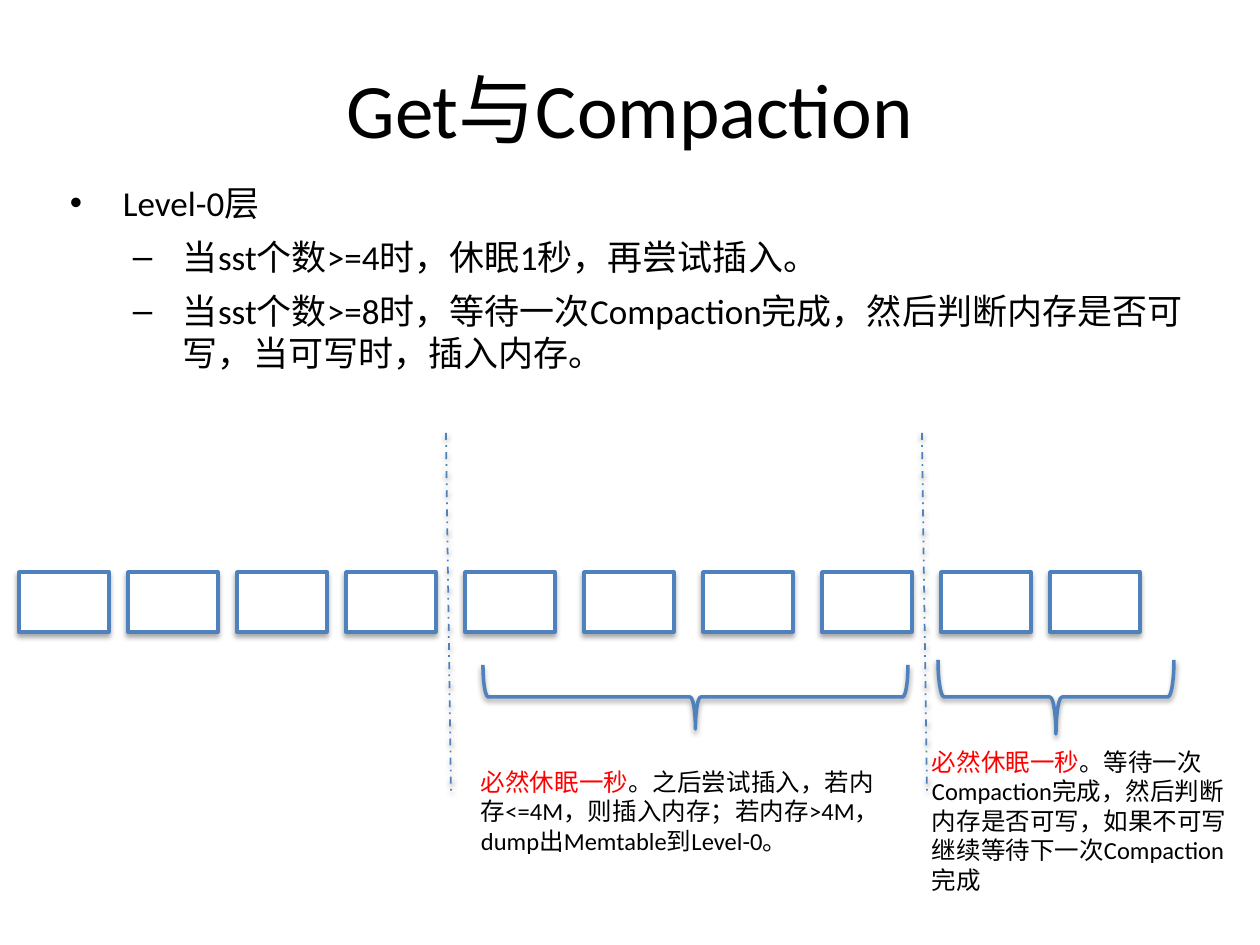
"""Build the slide on Get and Compaction."""
from dataclasses import dataclass

from lxml import etree
from pptx import Presentation
from pptx import util as u
from pptx.dml.color import RGBColor
from pptx.enum import dml, shapes, text
from pptx.oxml import ns

PIXEL = u.Inches(1) // 126


@dataclass(frozen=True)
class Theme:
    """Colours, fonts and type sizes of the slide."""
    ink: str = "000000"
    alert: str = "FF0000"
    accent: str = "4F81BD"
    paper: str = "FFFFFF"
    latin: str = "Calibri"
    chinese: str = "Noto Sans CJK SC"
    title: int = 44
    body: int = 20
    note: int = 14


THEME = Theme()
BULLETS = [
    (0, ["Level-0", "层"]),
    (1, ["当", "sst", "个数", ">=4", "时，休眠", "1", "秒，再尝试插入。"]),
    (1, ["当", "sst", "个数", ">=8", "时，等待一次", "Compaction",
         "完成，然后判断内存是否可写，当可写时，插入内存。"]),
]
LEVELS = [("•", 53, 53), ("–", 113, 50)]
WARNING = "必然休眠一秒"
RETRY_NOTE = ["。之后尝试插入，若内存<=4M，则插入内存；若内存>4M，dump",
              "出", "Memtable", "到", "Level-0", "。"]
WAIT_NOTE = ["。等待一次Compaction",
             "完成，然后判断内存是否可写，如果不可写继续等待下一次",
             "Compaction", "完成"]


def px(*lengths):
    """Turn pixel lengths into EMU."""
    return [round(length * PIXEL) for length in lengths]


def add_node(parent, tag, **attributes):
    """Append a DrawingML element with the given attributes."""
    node = etree.SubElement(parent, ns.qn(tag))
    for name, value in attributes.items():
        node.set(name, str(value))
    return node


def add_shadow(shape, distance, opacity):
    """Give a shape or connector a soft shadow below it."""
    effects = add_node(shape._element.spPr, "a:effectLst")
    shadow = add_node(effects, "a:outerShdw", blurRad=u.Pt(3),
                      dist=u.Pt(distance), dir=5400000, rotWithShape=0)
    add_node(add_node(shadow, "a:srgbClr", val=THEME.ink),
             "a:alpha", val=opacity * 1000)


def style_line(shape, width):
    """Set the accent outline."""
    shape.line.color.rgb = RGBColor.from_string(THEME.accent)
    shape.line.width = u.Pt(width)


def add_run(paragraph, words, size, colour=THEME.ink):
    """Add one run in the font that suits its script."""
    run = paragraph.add_run()
    run.text = words
    run.font.size = u.Pt(size)
    run.font.color.rgb = RGBColor.from_string(colour)
    mixed = any(character.isascii() for character in words)
    plain = mixed or colour == THEME.alert
    run.font.name = THEME.latin if plain else THEME.chinese
    add_node(run._r.get_or_add_rPr(), "a:ea", typeface=THEME.latin)


def add_text_frame(slide, box):
    """Add a wrapping text box and return its frame."""
    frame = slide.shapes.add_textbox(*px(*box)).text_frame
    frame.word_wrap = True
    frame.margin_left = frame.margin_right = px(6)[0]
    frame.margin_top = frame.margin_bottom = px(6)[0]
    return frame


def add_title(slide, box):
    """Add the centred title."""
    frame = add_text_frame(slide, box)
    frame.vertical_anchor = text.MSO_ANCHOR.MIDDLE
    paragraph = frame.paragraphs[0]
    paragraph.alignment = text.PP_ALIGN.CENTER
    add_run(paragraph, "Get与Compaction", THEME.title)


def add_bullets(slide, box):
    """Add the two-level list of rules."""
    frame = add_text_frame(slide, box)
    for index, (level, pieces) in enumerate(BULLETS):
        paragraph = frame.add_paragraph() if index else frame.paragraphs[0]
        paragraph.level = level
        paragraph.space_before = u.Pt(7)
        mark, margin, hanging = LEVELS[level]
        properties = paragraph._p.get_or_add_pPr()
        properties.set("marL", str(px(margin)[0]))
        properties.set("indent", str(px(-hanging)[0]))
        add_node(properties, "a:buFont", typeface="Arial")
        add_node(properties, "a:buChar", char=mark)
        for piece in pieces:
            add_run(paragraph, piece, THEME.body)


def add_file_group(slide, box, pitch, count):
    """Add a row of file boxes, the first one at the given box."""
    left, top, width, height = box
    for index in range(count):
        place = px(left + index * pitch, top, width, height)
        shape = slide.shapes.add_shape(shapes.MSO_SHAPE.RECTANGLE, *place)
        shape.fill.solid()
        shape.fill.fore_color.rgb = RGBColor.from_string(THEME.paper)
        style_line(shape, 2)
        add_shadow(shape, 1.8, 35)


def add_divider(slide, box):
    """Add a dash-dot line across the given box."""
    left, top, width, height = box
    line = slide.shapes.add_connector(
        shapes.MSO_CONNECTOR.STRAIGHT,
        *px(left, top, left + width, top + height))
    style_line(line, 1)
    line.line.dash_style = dml.MSO_LINE.DASH_DOT
    add_shadow(line, 1.6, 38)


def add_brace(slide, box):
    """Add a brace that fills the box and points down."""
    left, top, width, height = box
    shift = (width - height) / 2
    brace = slide.shapes.add_shape(
        shapes.MSO_SHAPE.LEFT_BRACE,
        *px(left + shift, top - shift, height, width))
    brace.rotation = 270
    brace.fill.background()
    style_line(brace, 2)
    add_shadow(brace, 1.6, 38)


def add_note(slide, box, pieces):
    """Add a note that opens with the warning."""
    paragraph = add_text_frame(slide, box).paragraphs[0]
    add_run(paragraph, WARNING, THEME.note, THEME.alert)
    for piece in pieces:
        add_run(paragraph, piece, THEME.note)


def main():
    """Build and save the presentation."""
    presentation = Presentation()
    presentation.slide_width, presentation.slide_height = px(1260, 945)
    slide = presentation.slides.add_slide(presentation.slide_layouts[6])
    add_title(slide, (63, 38, 1134, 140))
    add_bullets(slide, (64, 175, 1134, 702))
    for left, pitch, count in [(19, 109, 4), (465, 119, 4), (941, 109, 2)]:
        add_file_group(slide, (left, 572, 90, 60), pitch, count)
    for left in (446, 922):
        add_divider(slide, (left, 433, 5, 359))
    add_brace(slide, (483, 665, 425, 64))
    add_note(slide, (475, 761, 427, 101), RETRY_NOTE)
    add_brace(slide, (938, 660, 236, 74))
    add_note(slide, (926, 741, 316, 178), WAIT_NOTE)
    presentation.save("out.pptx")


main()
